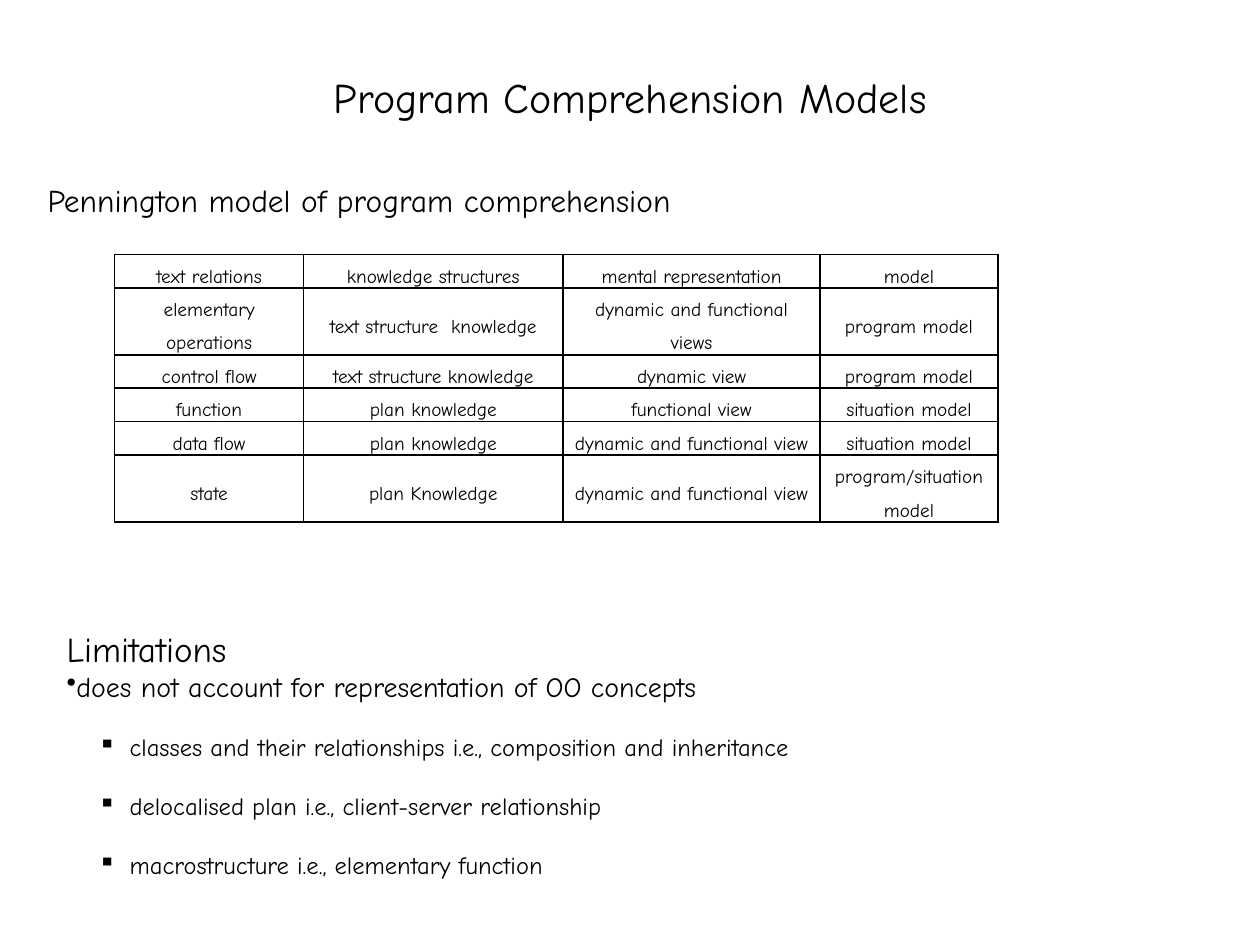
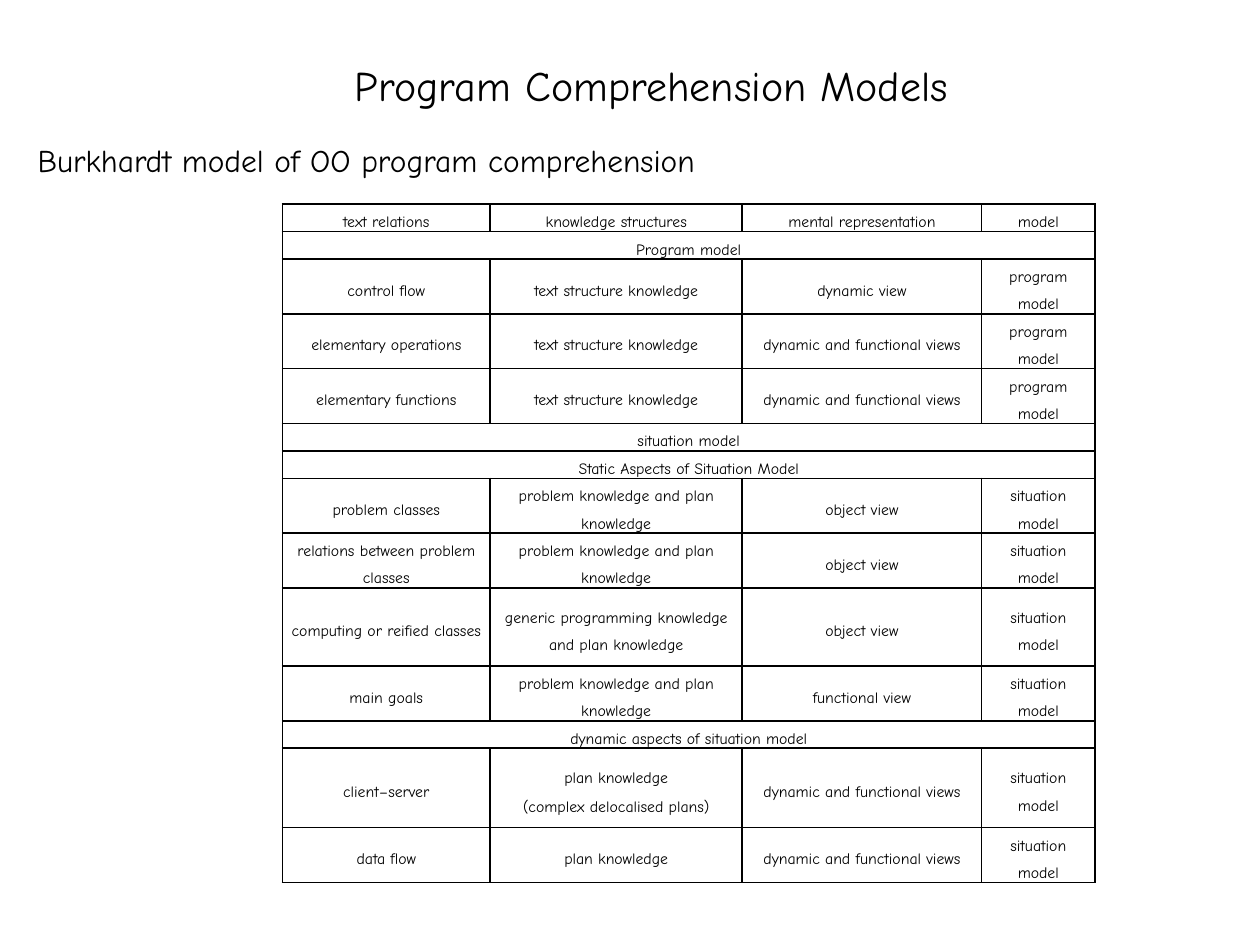
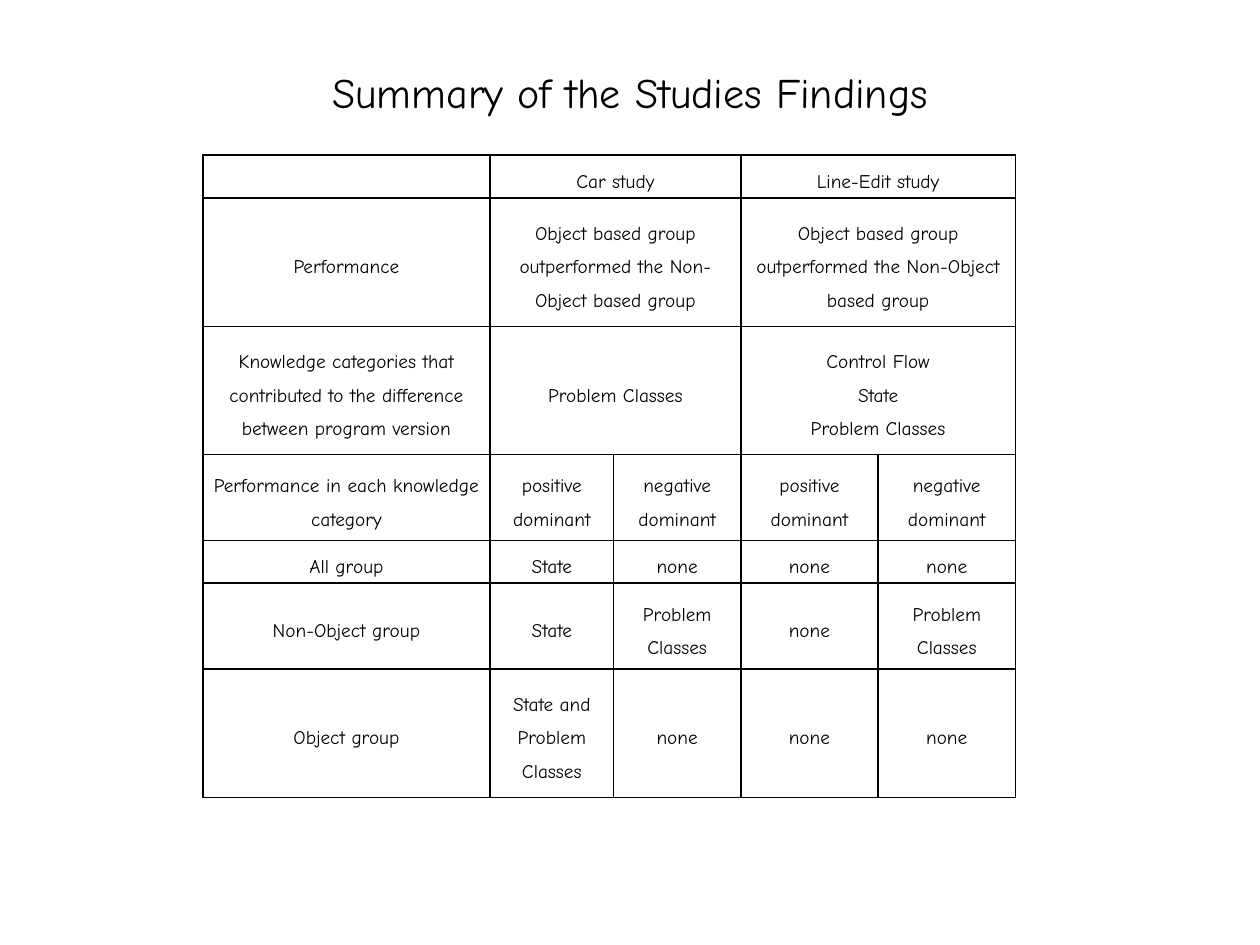
"""Build three slides on program comprehension models and study findings."""
import dataclasses
import typing

import lxml.etree
import pptx
import pptx.dml.color
import pptx.enum.text
import pptx.oxml.ns
import pptx.presentation
import pptx.slide
import pptx.table
import pptx.text.text
import pptx.util

Align = pptx.enum.text.PP_ALIGN
Anchor = pptx.enum.text.MSO_ANCHOR
qn = pptx.oxml.ns.qn


@dataclasses.dataclass(frozen=True)
class Theme:
    font: str = "Comic Neue"
    ink: str = "000000"
    paper: str = "FFFFFF"
    title: int = 24
    limits: int = 20
    heading: int = 18
    bullet: int = 16
    detail: int = 14
    cell: int = 11
    dense_cell: int = 9
    border: int = 1
    columns: int = 100
    rows: int = 75


class Area(typing.NamedTuple):
    left: float
    top: float
    width: float
    height: float


class Row(typing.NamedTuple):
    lines: float
    texts: tuple[str, ...]
    spans: tuple[int, ...] = ()
    filled: bool = False


@dataclasses.dataclass(frozen=True)
class Grid:
    area: Area
    widths: tuple[float, ...]
    line: float
    size: int
    margin: float
    before: int
    rows: tuple[Row, ...]


THEME = Theme()
WIDTH = pptx.util.Inches(10)
HEIGHT = pptx.util.Inches(7.5)


def across(columns: float) -> int:
    return round(WIDTH * columns / THEME.columns)


def down(rows: float) -> int:
    return round(HEIGHT * rows / THEME.rows)


def place(area: Area) -> tuple[int, int, int, int]:
    return across(area.left), down(area.top), across(area.width), down(area.height)


def add_text(frame: pptx.text.text.TextFrame, text: str, *, size: int,
             align: Align = Align.LEFT, spacing: float = 1.0, before: int = 0,
             level: int = 0, bullet: str = "", indent: float = 0,
             hanging: float = 0) -> None:
    para = frame.paragraphs[0]
    if para.runs:
        para = frame.add_paragraph()
    para.alignment = align
    para.line_spacing = spacing
    para.space_before = pptx.util.Pt(before)
    para.level = level
    span = para.add_run()
    span.text = text
    span.font.name = THEME.font
    span.font.size = pptx.util.Pt(size)
    span.font.color.rgb = pptx.dml.color.RGBColor.from_string(THEME.ink)
    if bullet:
        properties = para._p.get_or_add_pPr()
        properties.set("marL", str(across(indent)))
        properties.set("indent", str(-across(hanging)))
        lxml.etree.SubElement(properties, qn("a:buChar"), char=bullet)


def add_page(deck: pptx.presentation.Presentation, title: str,
             area: Area) -> pptx.slide.Slide:
    page = deck.slides.add_slide(deck.slide_layouts[5])
    holder = page.shapes.title
    holder.left, holder.top, holder.width, holder.height = place(area)
    holder.text_frame.vertical_anchor = Anchor.MIDDLE
    add_text(holder.text_frame, title, size=THEME.title, align=Align.CENTER)
    return page


def add_box(page: pptx.slide.Slide, area: Area) -> pptx.text.text.TextFrame:
    frame = page.shapes.add_textbox(*place(area)).text_frame
    frame.word_wrap = True
    frame.auto_size = pptx.enum.text.MSO_AUTO_SIZE.SHAPE_TO_FIT_TEXT
    return frame


def style_cell(cell: pptx.table._Cell, margin: float, filled: bool) -> None:
    cell.vertical_anchor = Anchor.MIDDLE
    cell.margin_left = cell.margin_right = across(margin)
    cell.margin_top = cell.margin_bottom = 0
    if filled:
        cell.fill.solid()
        cell.fill.fore_color.rgb = pptx.dml.color.RGBColor.from_string(THEME.paper)
    else:
        cell.fill.background()
    properties = cell._tc.get_or_add_tcPr()
    for index, side in enumerate("LRTB"):
        line = lxml.etree.SubElement(properties, qn(f"a:ln{side}"),
                                     w=str(pptx.util.Pt(THEME.border)))
        solid = lxml.etree.SubElement(line, qn("a:solidFill"))
        lxml.etree.SubElement(solid, qn("a:srgbClr"), val=THEME.ink)
        properties.insert(index, line)


def add_grid(page: pptx.slide.Slide, grid: Grid) -> None:
    holder = page.shapes.add_table(len(grid.rows), len(grid.widths), *place(grid.area))
    table = holder.table
    table.first_row = table.horz_banding = False
    for column, width in zip(table.columns, grid.widths):
        column.width = across(width)
    for index, row in enumerate(grid.rows):
        table.rows[index].height = down(row.lines * grid.line)
        for cell in table.rows[index].cells:
            style_cell(cell, grid.margin, row.filled)
        start = 0
        for text, count in zip(row.texts, row.spans or (1,) * len(row.texts)):
            cell = table.cell(index, start)
            if count > 1:
                cell.merge(table.cell(index, start + count - 1))
            for part in text.splitlines():
                add_text(cell.text_frame, part, size=grid.size, align=Align.CENTER,
                         spacing=1.5, before=grid.before)
            start += count
    holder.height = down(grid.area.height)


HEADER = ("text relations", "knowledge structures", "mental representation", "model")
PROGRAM, SITUATION = "program model", "situation model"
STRUCTURE, PLAN = "text structure knowledge", "plan knowledge"
PROBLEM = "problem knowledge and plan knowledge"
BOTH_VIEW = "dynamic and functional view"
BOTH_VIEWS = "dynamic and functional views"
OUTPERFORMED = "Object based group outperformed the Non-Object based group"
WHOLE = (4,)
PAIRS = (1, 2, 2)

PENNINGTON = Grid(
    Area(9.1, 20.2, 70.1, 24.8), (15, 20.6, 20.4, 14.1), 2.6, THEME.cell, 0.7, 0, (
        Row(1, HEADER),
        Row(2, ("elementary operations", "text structure  knowledge", BOTH_VIEWS, PROGRAM)),
        Row(1, ("control flow", STRUCTURE, "dynamic view", PROGRAM)),
        Row(1, ("function", PLAN, "functional view", SITUATION)),
        Row(1, ("data flow", PLAN, BOTH_VIEW, SITUATION)),
        Row(2, ("state", "plan Knowledge", BOTH_VIEW, "program/situation model")),
    ))

BURKHARDT = Grid(
    Area(22.4, 16.2, 64.6, 55.2), (16.5, 20, 19, 9), 2.1, THEME.dense_cell, 0.5, 1, (
        Row(1, HEADER),
        Row(1, ("Program model",), WHOLE),
        Row(2, ("control flow", STRUCTURE, "dynamic view", PROGRAM)),
        Row(2, ("elementary operations", STRUCTURE, BOTH_VIEWS, PROGRAM)),
        Row(2, ("elementary functions", STRUCTURE, BOTH_VIEWS, PROGRAM)),
        Row(1, (SITUATION,), WHOLE),
        Row(1, ("Static Aspects of Situation Model",), WHOLE, True),
        Row(2, ("problem classes", PROBLEM, "object view", SITUATION)),
        Row(2, ("relations between problem classes", PROBLEM, "object view", SITUATION)),
        Row(2.95, ("computing or reified classes",
                   "generic programming knowledge and plan knowledge",
                   "object view", SITUATION)),
        Row(2, ("main goals", PROBLEM, "functional view", SITUATION)),
        Row(1, ("dynamic aspects of situation model",), WHOLE),
        Row(3, ("client–server", PLAN + "\n(complex delocalised plans)",
                BOTH_VIEWS, SITUATION)),
        Row(2, ("data flow", PLAN, BOTH_VIEWS, SITUATION)),
    ))

FINDINGS = Grid(
    Area(16.1, 12.3, 64.6, 51.9), (22.8, 9.8, 10.1, 10.9, 10.9), 3.4, THEME.cell, 0.7, 0, (
        Row(1, ("", "Car study", "Line-Edit study"), PAIRS),
        Row(3, ("Performance", OUTPERFORMED, OUTPERFORMED), PAIRS),
        Row(3, ("Knowledge categories that contributed to the difference "
                "between program version", "Problem Classes",
                "Control Flow\nState\nProblem Classes"), PAIRS),
        Row(2, ("Performance in each knowledge category",
                *("positive dominant", "negative dominant") * 2)),
        Row(1, ("All group", "State", "none", "none", "none")),
        Row(2, ("Non-Object group", "State", "Problem Classes", "none", "Problem Classes")),
        Row(3, ("Object group", "State and\nProblem Classes", "none", "none", "none")),
    ))

LIMITATIONS = (
    "classes and their relationships i.e., composition and inheritance",
    "delocalised plan i.e., client-server relationship",
    "macrostructure i.e., elementary function",
)


def build_pennington(deck: pptx.presentation.Presentation) -> None:
    page = add_page(deck, "Program Comprehension Models", Area(5, 3, 90, 9.3))
    add_grid(page, PENNINGTON)
    frame = add_box(page, Area(4.3, 49.3, 85.8, 21.2))
    add_text(frame, "Limitations", size=THEME.limits)
    add_text(frame, "does not account for representation of OO concepts",
             size=THEME.bullet, bullet="•")
    for text in LIMITATIONS:
        add_text(frame, text, size=THEME.detail, spacing=2.0, level=1,
                 bullet="▪", indent=5, hanging=2.5)
    add_text(add_box(page, Area(2.8, 13.9, 55.9, 4)),
             "Pennington model of program comprehension", size=THEME.heading)


def build_burkhardt(deck: pptx.presentation.Presentation) -> None:
    page = add_page(deck, "Program Comprehension Models", Area(6.7, 2.1, 90, 9.3))
    add_grid(page, BURKHARDT)
    add_text(add_box(page, Area(2, 10.7, 59.1, 4)),
             "Burkhardt model of OO program comprehension", size=THEME.heading)


def build_findings(deck: pptx.presentation.Presentation) -> None:
    page = add_page(deck, "Summary of the Studies Findings", Area(5, 3, 90, 8.5))
    add_grid(page, FINDINGS)


def main() -> None:
    deck = pptx.Presentation()
    deck.slide_width, deck.slide_height = WIDTH, HEIGHT
    for build in (build_pennington, build_burkhardt, build_findings):
        build(deck)
    deck.save("out.pptx")


main()
